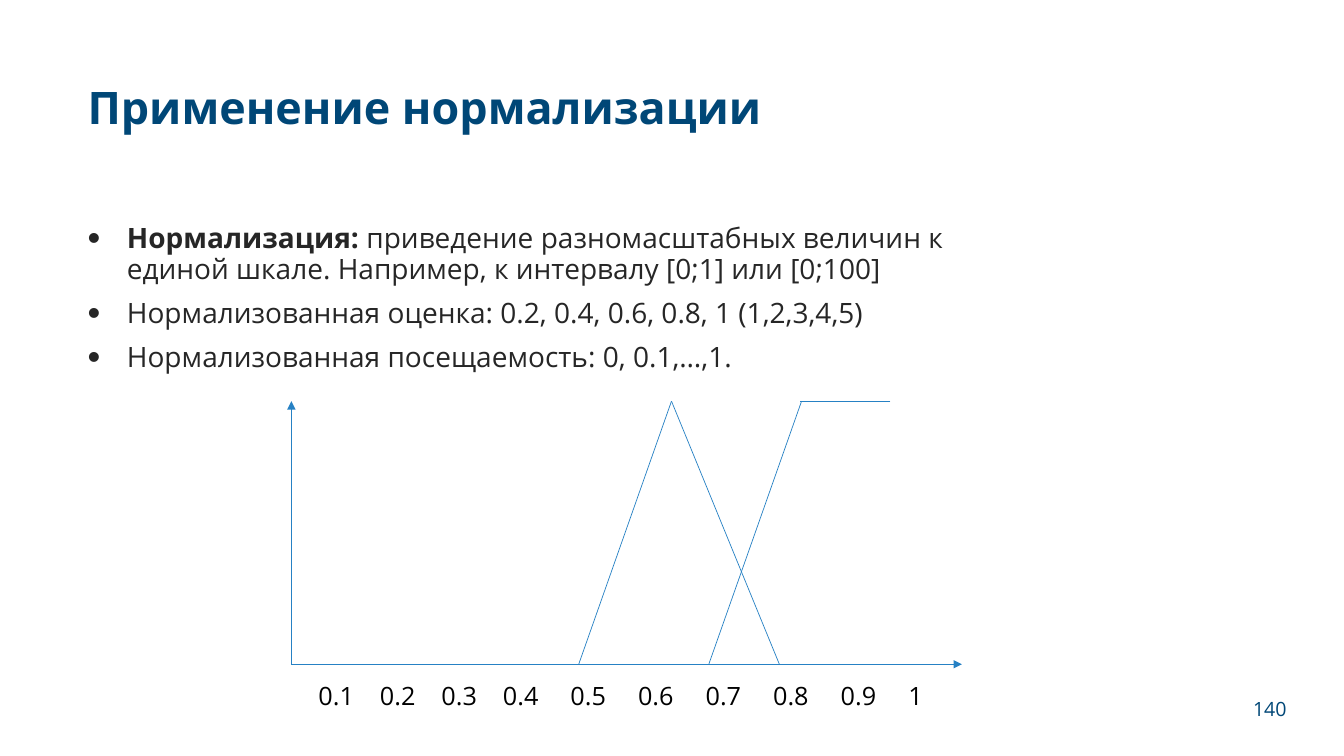
from dataclasses import dataclass

from lxml.etree import SubElement as Sub
from pptx import Presentation
from pptx.dml.color import RGBColor as Rgb
from pptx.enum.shapes import MSO_CONNECTOR as Conn
from pptx.enum.text import MSO_ANCHOR as Anchor, PP_ALIGN as Align
from pptx.oxml.ns import qn
from pptx.util import Inches, Pt


@dataclass(frozen=True)
class Theme:
    """Colours, font and type sizes of the deck."""
    font: str = "Open Sans"
    navy: str = "004777"
    body: str = "262626"
    black: str = "000000"
    blue: str = "2681C4"
    head: int = 32
    text: int = 20
    tick: int = 18
    foot: int = 14
    thin: float = 0.5


def write(para, text, font, size, color, bold=False):
    """Add one formatted run to a paragraph."""
    run = para.add_run()
    run.text = text
    run.font.name = font
    run.font.size = Pt(size)
    run.font.bold = bold
    run.font.color.rgb = Rgb.from_string(color)


class Page:
    """A slide with its style."""

    def __init__(self, slide, theme):
        """Keep the slide and the theme."""
        self.slide = slide
        self.theme = theme

    def frame(self, box, anchor=Anchor.TOP):
        """Add a wrapping text box and return its frame."""
        shape = self.slide.shapes.add_textbox(*map(Inches, box))
        frame = shape.text_frame
        frame.word_wrap = True
        frame.vertical_anchor = anchor
        return frame

    def label(self, box, text, size, color, bold=False, align=Align.LEFT, space=1.0):
        """Add a single line centred in its height."""
        para = self.frame(box, Anchor.MIDDLE).paragraphs[0]
        para.alignment = align
        para.line_spacing = space
        write(para, text, self.theme.font, size, color, bold)

    def bullets(self, box, items):
        """Add a bullet list of (bold lead, text) pairs."""
        look = self.theme
        frame = self.frame(box)
        for num, (lead, text) in enumerate(items):
            para = frame.add_paragraph() if num else frame.paragraphs[0]
            props = para._p.get_or_add_pPr()
            props.set("marL", str(Inches(0.39)))
            props.set("indent", str(-Inches(0.39)))
            Sub(props, qn("a:buSzPct"), val="130000")
            Sub(props, qn("a:buFont"), typeface="Arial")
            Sub(props, qn("a:buChar"), char="•")
            para.line_spacing = 0.9
            para.space_before = Pt(10 if num else 0)
            if lead:
                write(para, lead, look.font, look.text, look.body, bold=True)
            write(para, text, look.font, look.text, look.body)

    def ticks(self, box, names, stops):
        """Add axis values on one line, set apart by tab stops."""
        look = self.theme
        para = self.frame(box).paragraphs[0]
        tabs = Sub(para._p.get_or_add_pPr(), qn("a:tabLst"))
        for stop in stops:
            Sub(tabs, qn("a:tab"), pos=str(Inches(stop)), algn="l")
        write(para, "\t".join(names), look.font, look.tick, look.black)

    def line(self, start, end, arrow=False):
        """Add a thin straight line, with an arrowhead if asked."""
        line = self.slide.shapes.add_connector(
            Conn.STRAIGHT, *map(Inches, (*start, *end)))
        line.line.color.rgb = Rgb.from_string(self.theme.blue)
        line.line.width = Pt(self.theme.thin)
        if arrow:
            Sub(line.line._get_or_add_ln(), qn("a:tailEnd"), type="triangle")
        Sub(line._element.spPr, qn("a:effectLst"))


def main():
    """Build the slide and save it."""
    deck = Presentation()
    deck.slide_width, deck.slide_height = Inches(13.33), Inches(7.5)
    look = Theme()
    page = Page(deck.slides.add_slide(deck.slide_layouts[6]), look)

    page.label((0.77, 0.4, 10.24, 1.38), "Применение нормализации",
               look.head, look.navy, bold=True, space=0.9)
    page.label((12.07, 6.84, 0.79, 0.39), "140",
               look.foot, look.navy, align=Align.RIGHT)
    page.bullets((0.77, 2.18, 8.9, 1.97), [
        ("Нормализация:", " приведение разномасштабных величин к единой шкале. "
                          "Например, к интервалу [0;1] или [0;100]"),
        ("", "Нормализованная оценка: 0.2, 0.4, 0.6, 0.8, 1 (1,2,3,4,5)"),
        ("", "Нормализованная посещаемость: 0, 0.1,…,1."),
    ])

    left, right, top, base = 2.89, 9.54, 3.98, 6.59
    page.line((left, base), (left, top), arrow=True)
    page.line((left, base), (right, base), arrow=True)
    names = [f"{num / 10:g}" for num in range(1, 11)]
    stops = [0.61 * num + 0.06 * max(num - 3, 0) for num in range(1, 10)]
    page.ticks((3.06, 6.7, 6.48, 0.4), names, stops)

    for foot, peak in ((5.74, 6.66), (7.73, 6.66), (7.03, 7.95)):
        page.line((foot, base), (peak, top))
    page.line((8.83, top), (7.93, top))
    deck.save("out.pptx")


if __name__ == "__main__":
    main()
